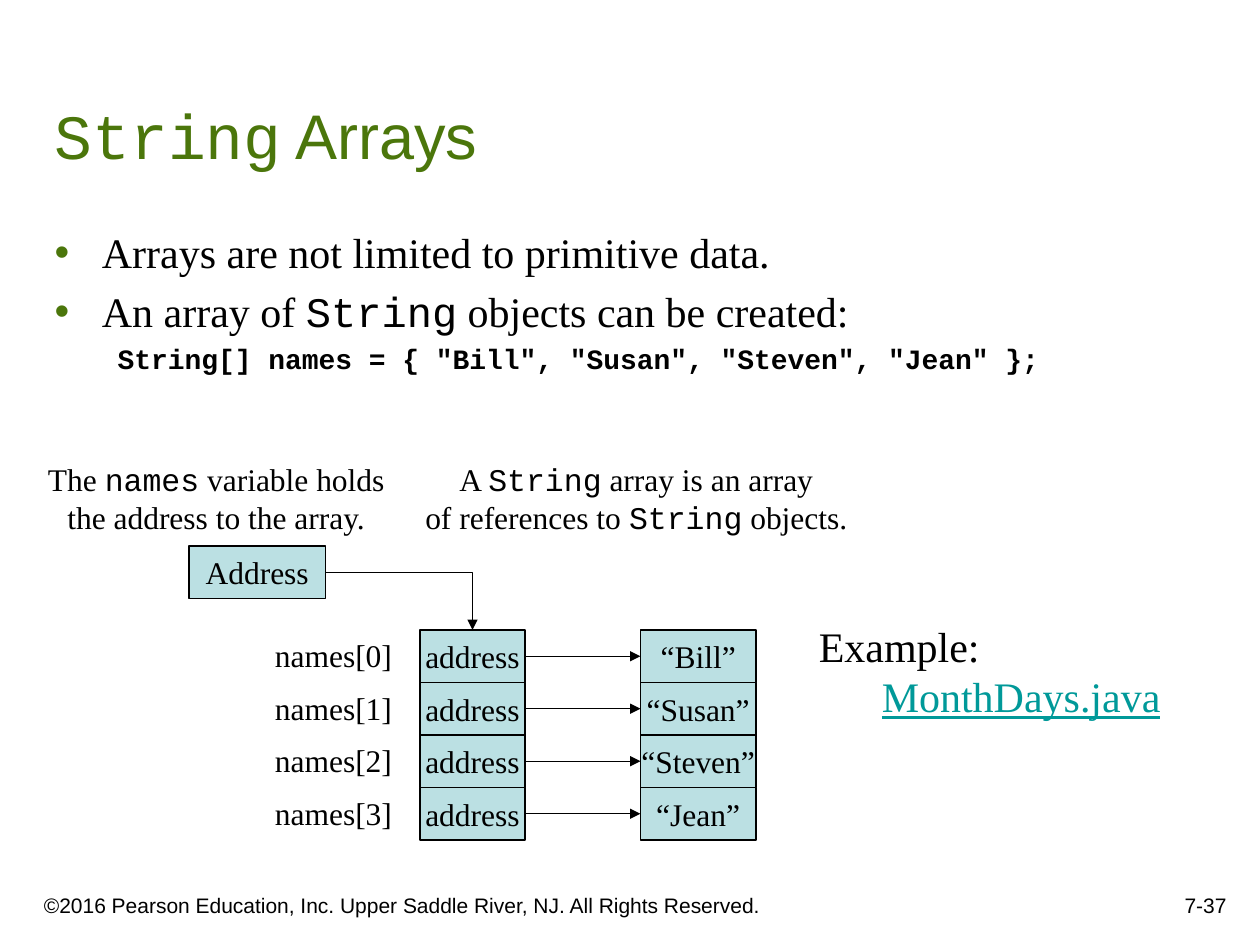
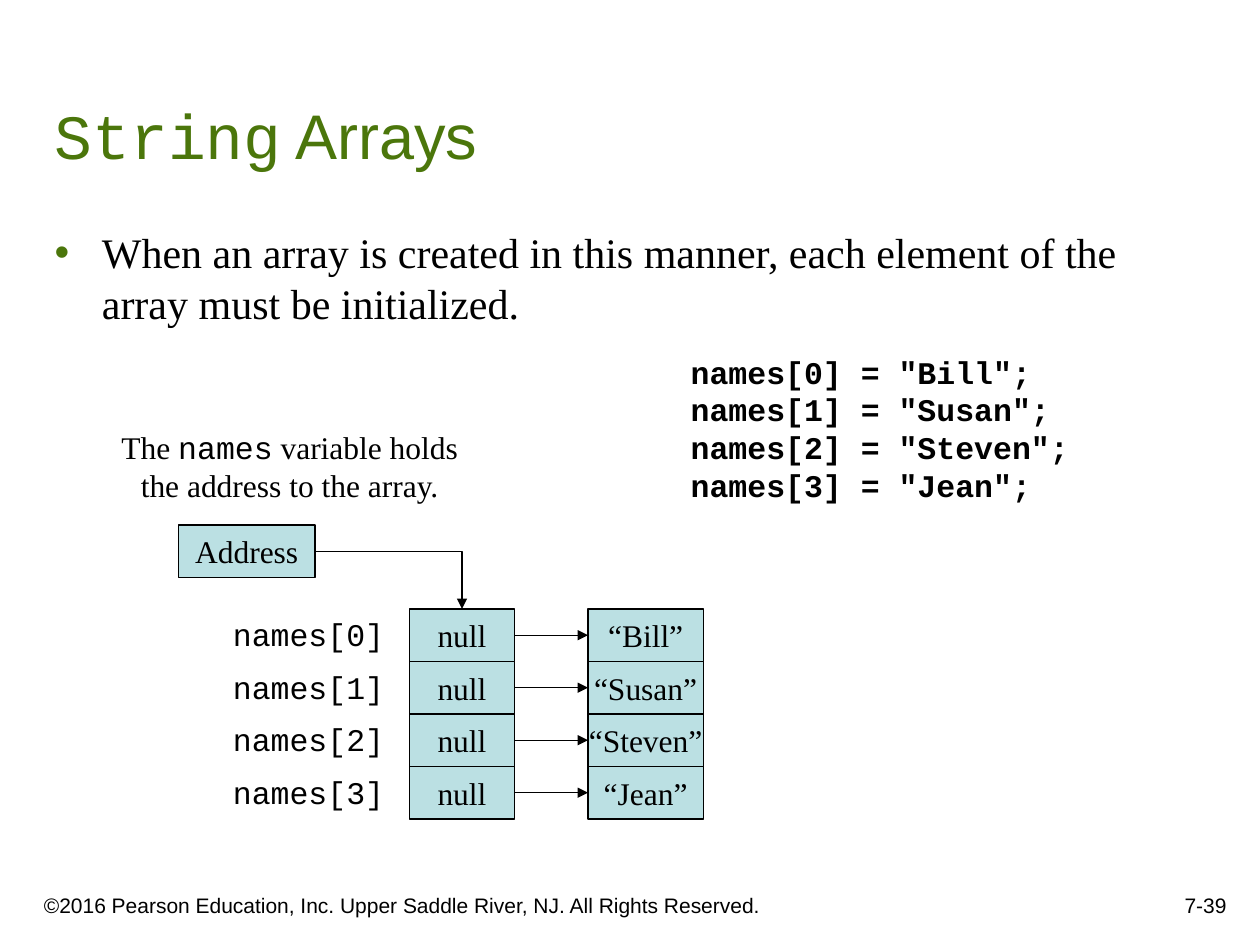
"""Build two slides that show how a String array refers to its objects."""
from dataclasses import dataclass
from typing import NamedTuple

from lxml.etree import SubElement
from pptx import Presentation
from pptx.dml.color import RGBColor
from pptx.enum.shapes import MSO_CONNECTOR, MSO_SHAPE
from pptx.enum.text import MSO_ANCHOR, MSO_AUTO_SIZE, PP_ALIGN
from pptx.oxml.ns import qn
from pptx.util import Pt

PX = 7620
COLORS = {"ink": "000000", "green": "4B760B", "cell": "BBE0E3", "link": "009999"}
SERIF, SANS, MONO = "Times New Roman", "Arial", "Courier New"
NAMES = ["Bill", "Susan", "Steven", "Jean"]
ROW = 50
HOLDS = ["The `names` variable holds", "the address to the array."]
REFERS = ["A `String` array is an array", "of references to `String` objects."]
RIGHTS = "©2016 Pearson Education, Inc. Upper Saddle River, NJ. All Rights Reserved."


class Box(NamedTuple):
    x: int
    y: int
    w: int
    h: int

    def emu(self):
        return [side * PX for side in self]

    def down(self, row: int):
        return self._replace(y=self.y + row * self.h)


@dataclass
class Chart:
    head: Box
    label: Box
    cell: Box
    value: Box
    word: str
    font: str


def color(name: str) -> RGBColor:
    return RGBColor.from_string(COLORS[name])


def write(frame, text: str, *, font=SERIF, size=18, ink="ink", bold=None, under=None,
          align=PP_ALIGN.LEFT, before=0.0, left=0, hang=0, level=0, dot=False, join=False):
    para = frame.paragraphs[-1]
    if join:
        para.add_line_break()
    else:
        if para.runs:
            para = frame.add_paragraph()
        props = para._p.get_or_add_pPr()
        props.set("marL", str(left * PX))
        props.set("indent", str(-hang * PX))
        if dot:
            tint = SubElement(props, qn("a:buClr"))
            SubElement(tint, qn("a:srgbClr")).set("val", COLORS["green"])
            SubElement(props, qn("a:buFont")).set("typeface", SANS)
            SubElement(props, qn("a:buChar")).set("char", "•")
        else:
            SubElement(props, qn("a:buNone"))
        para.level, para.alignment, para.space_before = level, align, Pt(before)
    for i, part in enumerate(text.split("`")):
        if part:
            run = para.add_run()
            run.text = part
            face = run.font
            face.name = MONO if i % 2 else font
            face.size, face.bold, face.underline = Pt(size), bold, under
            face.color.rgb = color(ink)


def note(slide, box: Box, lines: list[str], wrap=False, anchor=MSO_ANCHOR.TOP,
         fit=MSO_AUTO_SIZE.SHAPE_TO_FIT_TEXT, **style):
    frame = slide.shapes.add_textbox(*box.emu()).text_frame
    frame.word_wrap, frame.auto_size, frame.vertical_anchor = wrap, fit, anchor
    for line in lines:
        write(frame, line, **style)
    return frame


def cell(slide, box: Box, text: str):
    shape = slide.shapes.add_shape(MSO_SHAPE.RECTANGLE, *box.emu())
    shape.shadow.inherit = False
    shape.fill.solid()
    shape.fill.fore_color.rgb = color("cell")
    shape.line.color.rgb = color("ink")
    shape.line.width = Pt(0.75)
    frame = shape.text_frame
    frame.word_wrap, frame.vertical_anchor = False, MSO_ANCHOR.MIDDLE
    write(frame, text, align=PP_ALIGN.CENTER)
    return shape


def arrow(slide, start, end, site: int, bent=False):
    kind = MSO_CONNECTOR.ELBOW if bent else MSO_CONNECTOR.STRAIGHT
    link = slide.shapes.add_connector(kind, 0, 0, 0, 0)
    link.begin_connect(start, 3)
    link.end_connect(end, site)
    link.line.color.rgb = color("ink")
    link.line.width = Pt(0.75)
    props = link.element.spPr
    if bent:
        props.find(qn("a:prstGeom")).set("prst", "bentConnector2")
    SubElement(props.find(qn("a:ln")), qn("a:tailEnd")).set("type", "triangle")
    SubElement(props, qn("a:effectLst"))


def draw(slide, chart: Chart):
    head = cell(slide, chart.head, "Address")
    for row, name in enumerate(NAMES):
        ref = cell(slide, chart.cell.down(row), chart.word)
        value = cell(slide, chart.value.down(row), f"“{name}”")
        note(slide, chart.label.down(row), [f"names[{row}]"], wrap=True, font=chart.font)
        arrow(slide, ref, value, 1)
        if row == 0:
            arrow(slide, head, ref, 0, bent=True)


def place(shape, box: Box, anchor):
    shape.left, shape.top, shape.width, shape.height = box.emu()
    frame = shape.text_frame
    frame.auto_size, frame.word_wrap = MSO_AUTO_SIZE.NONE, True
    frame.vertical_anchor = anchor
    return frame


def start(deck, page: str, depth: int):
    slide = deck.slides.add_slide(deck.slide_layouts[1])
    title = place(slide.shapes.title, Box(40, 40, 1130, 130), MSO_ANCHOR.BOTTOM)
    write(title, "`String` Arrays", font=SANS, size=36, ink="green")
    body = place(slide.placeholders[1], Box(40, 210, 1088, depth), MSO_ANCHOR.TOP)
    body.margin_right = 0
    foot = dict(wrap=True, anchor=MSO_ANCHOR.BOTTOM, fit=MSO_AUTO_SIZE.NONE,
                font=SANS, size=12)
    note(slide, Box(30, 830, 730, 50), [RIGHTS], **foot)
    note(slide, Box(930, 820, 250, 60), [page], align=PP_ALIGN.RIGHT, **foot)
    return slide, body


def main():
    deck = Presentation()
    deck.slide_width, deck.slide_height = 1200 * PX, 900 * PX
    point = dict(size=24, left=45, hang=45, dot=True)
    mid = PP_ALIGN.CENTER

    slide, body = start(deck, "7-37", 222)
    write(body, "Arrays are not limited to primitive data.", **point)
    write(body, "An array of `String` objects can be created:", before=4.8, **point)
    write(body, 'String[] names = { "Bill", "Susan", "Steven", "Jean" };', font=MONO,
          size=16, bold=True, before=3.2, left=97, hang=37, level=1)
    note(slide, Box(33, 432, 346, 84), HOLDS, align=mid)
    note(slide, Box(393, 432, 426, 84), REFERS, align=mid)
    draw(slide, Chart(Box(180, 520, 130, ROW), Box(250, 600, 152, ROW),
                      Box(400, 600, 100, ROW), Box(610, 600, 110, ROW), "address", SERIF))
    demo = note(slide, Box(768, 585, 370, 108), ["Example:"], wrap=True,
                size=24, left=60, hang=60)
    write(demo, "MonthDays.java", size=24, ink="link", under=True, join=True)

    slide, body = start(deck, "7-39", 212)
    write(body, "When an array is created in this manner, each element of the "
          "array must be initialized.", **point)
    note(slide, Box(103, 402, 346, 84), HOLDS, align=mid)
    code = [f'names[{row}] = "{name}";' for row, name in enumerate(NAMES)]
    note(slide, Box(646, 330, 384, 156), code, font=MONO, bold=True)
    draw(slide, Chart(Box(170, 500, 130, ROW), Box(210, 580, 182, ROW),
                      Box(390, 580, 100, ROW), Box(560, 580, 110, ROW), "null", MONO))
    deck.save("out.pptx")


if __name__ == "__main__":
    main()
